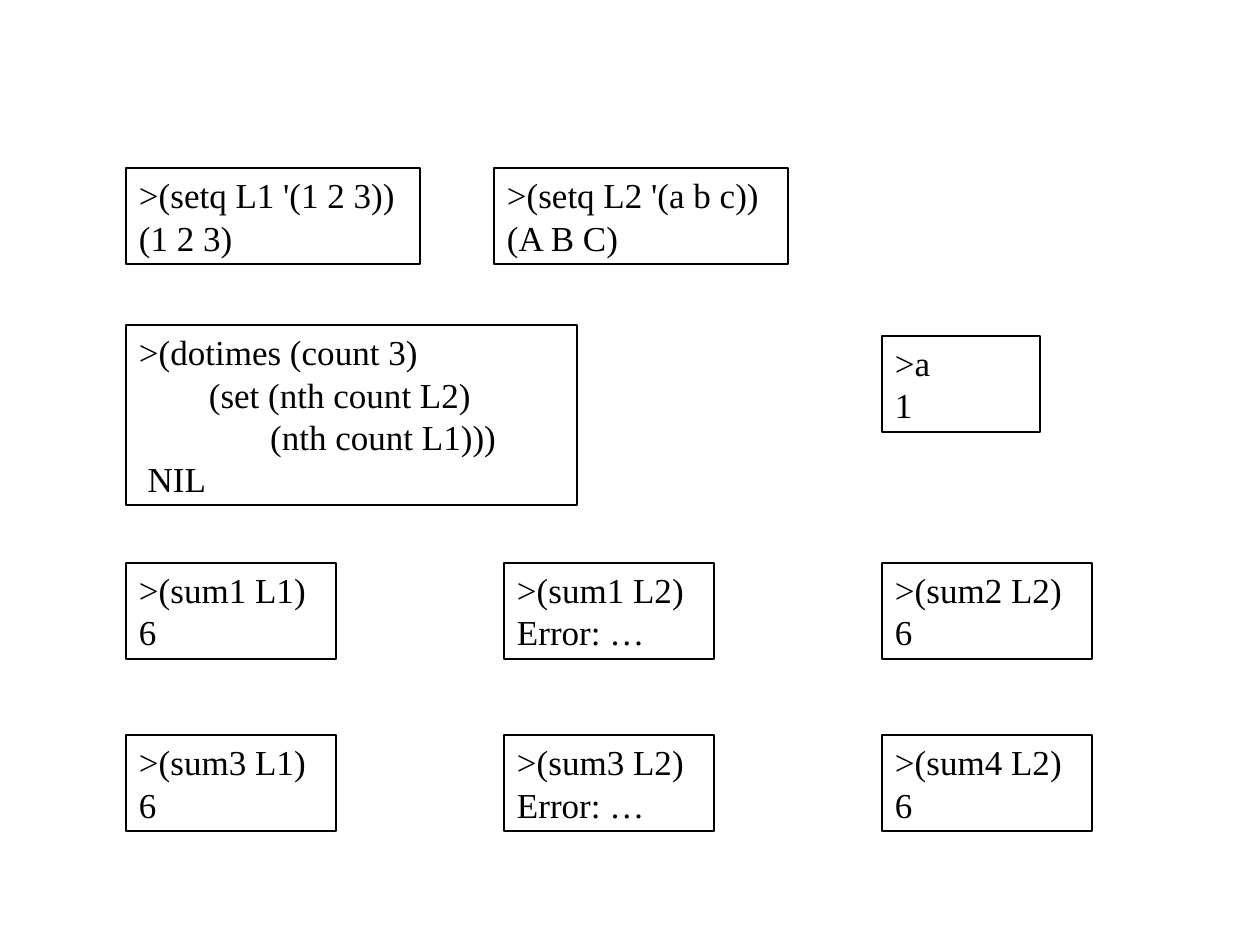
"""Build a slide of Lisp listener exchanges in outlined boxes."""
from pptx import Presentation
from pptx.dml.color import RGBColor
from pptx.enum.shapes import MSO_SHAPE as Shape
from pptx.enum.text import MSO_ANCHOR as Anchor, MSO_AUTO_SIZE as AutoSize, PP_ALIGN as Align
from pptx.util import Pt

SETUP = [
    (126, 168, 294, [">(setq L1 '(1 2 3))", "(1 2 3)"]),
    (494, 168, 294, [">(setq L2 '(a b c))", "(A B C)"]),
    (126, 325, 451, [
        ">(dotimes (count 3)",
        "        (set (nth count L2)",
        "               (nth count L1)))",
        " NIL",
    ]),
    (882, 336, 158, [">a", "1"]),
]
SUMS = [
    [(">(sum1 L1)", "6"), (">(sum1 L2)", "Error: …"), (">(sum2 L2)", "6")],
    [(">(sum3 L1)", "6"), (">(sum3 L2)", "Error: …"), (">(sum4 L2)", "6")],
]
SUM_LEFT, SUM_TOP, SUM_WIDTH = 126, 563, 210
COLUMN_STEP, ROW_STEP = 378, 172
LINE_HEIGHT, PADDING_X, PADDING_Y = 42, 13, 6


def px(length):
    return round(length * 914400 / 126)


def color(value):
    return RGBColor.from_string(value)


def write(shape, lines, font="Times New Roman", size=20, ink="000000"):
    frame = shape.text_frame
    frame.word_wrap = True
    frame.auto_size = AutoSize.SHAPE_TO_FIT_TEXT
    frame.vertical_anchor = Anchor.TOP
    frame.margin_left = frame.margin_right = px(PADDING_X)
    frame.margin_top = frame.margin_bottom = px(PADDING_Y)
    frame.text = "\n".join(lines)
    for paragraph in frame.paragraphs:
        paragraph.alignment = Align.LEFT
        paragraph.font.name = font
        paragraph.font.size = Pt(size)
        paragraph.font.color.rgb = color(ink)


def add_exchange(slide, left, top, width, lines):
    height = LINE_HEIGHT * len(lines) + 2 * PADDING_Y
    shape = slide.shapes.add_shape(Shape.RECTANGLE, px(left), px(top), px(width), px(height))
    shape.shadow.inherit = False
    shape.fill.background()
    shape.line.color.rgb = color("000000")
    shape.line.width = Pt(0.75)
    write(shape, lines)


def main():
    presentation = Presentation()
    presentation.slide_width, presentation.slide_height = px(1260), px(945)
    slide = presentation.slides.add_slide(presentation.slide_layouts[6])
    for exchange in SETUP:
        add_exchange(slide, *exchange)
    for row, exchanges in enumerate(SUMS):
        for column, lines in enumerate(exchanges):
            left = SUM_LEFT + column * COLUMN_STEP
            add_exchange(slide, left, SUM_TOP + row * ROW_STEP, SUM_WIDTH, lines)
    presentation.save("out.pptx")


if __name__ == "__main__":
    main()
